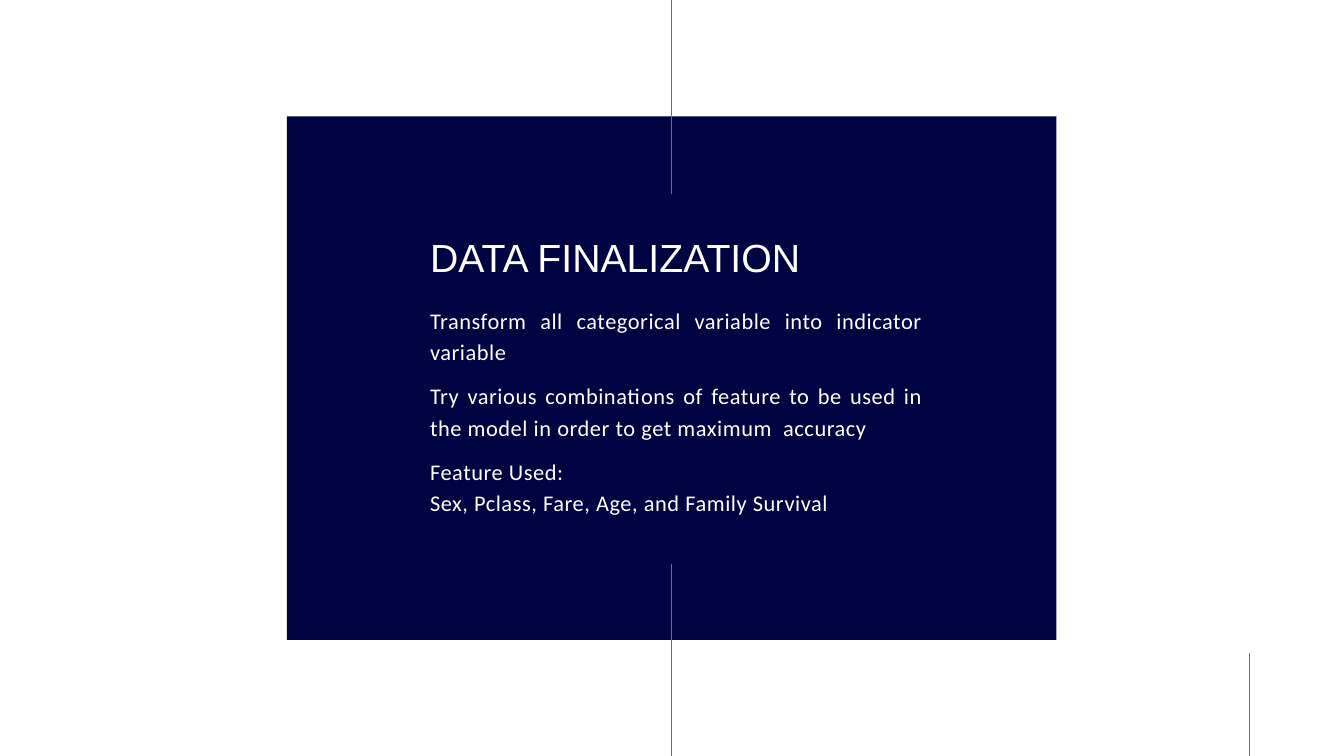
from lxml import etree
from pptx import Presentation
from pptx.dml.color import RGBColor
from pptx.enum import shapes, text
from pptx.oxml import ns
from pptx.util import Pt

WHITE = RGBColor(0xFF, 0xFF, 0xFF)
NAVY = RGBColor(0x00, 0x03, 0x42)
RED = RGBColor(0xDC, 0x3C, 0x4D)

WIDTH, HEIGHT = 1440, 810
CENTRE = 719.3
LEFT = 460.8
GAP = 13.9

# Each entry: text, space before
BODY = [
    ("Transform all categorical variable into indicator variable", 0),
    ("Try various combinations of feature to be used in the model "
     "in order to get maximum  accuracy", GAP),
    ("Feature Used:", GAP),
    ("Sex, Pclass, Fare, Age, and Family Survival", 0),
]


class Painter:
    def __init__(self, page):
        self.page = page

    def panel(self, left, top, width, height):
        panel = self.page.shapes.add_shape(
            shapes.MSO_SHAPE.RECTANGLE, Pt(left), Pt(top), Pt(width), Pt(height))
        panel.shadow.inherit = False
        panel.fill.solid()
        panel.fill.fore_color.rgb = NAVY
        panel.line.fill.background()

    def vertical_rule(self, x, top, bottom):
        rule = self.page.shapes.add_connector(
            shapes.MSO_CONNECTOR.STRAIGHT, Pt(x), Pt(top), Pt(x), Pt(bottom))
        rule.line.color.rgb = RED
        rule.line.width = Pt(1.2)
        etree.SubElement(rule._element.spPr, ns.qn("a:effectLst"))

    def text(self, left, top, width, height, lines, font, size, leading,
             align=text.PP_ALIGN.LEFT, tracking=0):
        """Write (text, space before) lines; tracking is in points."""
        box = self.page.shapes.add_textbox(Pt(left), Pt(top), Pt(width), Pt(height))
        frame = box.text_frame
        frame.margin_left = frame.margin_right = 0
        frame.margin_top = frame.margin_bottom = 0
        frame.word_wrap = True
        frame.auto_size = text.MSO_AUTO_SIZE.SHAPE_TO_FIT_TEXT
        frame.text = "\n".join(line for line, _ in lines)
        for para, (_, before) in zip(frame.paragraphs, lines):
            para.alignment = align
            para.line_spacing = Pt(leading)
            para.space_before = Pt(before)
            for span in para.runs:
                span.font.name = font
                span.font.size = Pt(size)
                span.font.color.rgb = WHITE
                if tracking:
                    span._r.get_or_add_rPr().set("spc", str(round(tracking * 100)))


def main():
    deck = Presentation()
    deck.slide_width, deck.slide_height = Pt(WIDTH), Pt(HEIGHT)
    page = deck.slides.add_slide(deck.slide_layouts[6])
    painter = Painter(page)

    painter.vertical_rule(1338.5, 700, HEIGHT)
    painter.panel(307.4, 124.6, 824.4, 560.9)
    painter.text(LEFT, 324, 527.8, 262.8, BODY, "Calibri", 24, 33.6,
                 text.PP_ALIGN.JUSTIFY, 0.6)
    painter.text(LEFT, 241.2, 441.4, 56.9, [("DATA FINALIZATION", 0)],
                 "Arial", 42, 58.8)
    painter.vertical_rule(CENTRE, 604, HEIGHT)
    painter.vertical_rule(CENTRE, 0, 207.4)

    deck.save("out.pptx")


if __name__ == "__main__":
    main()
